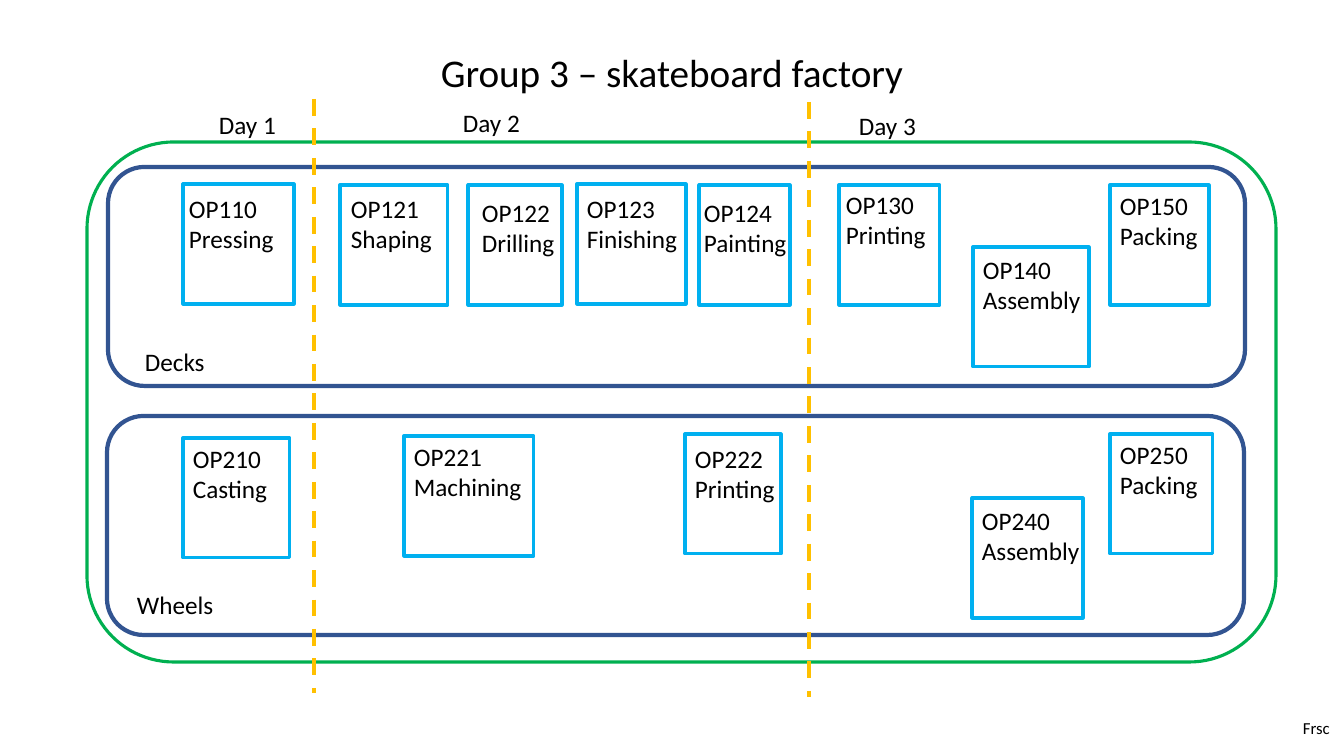
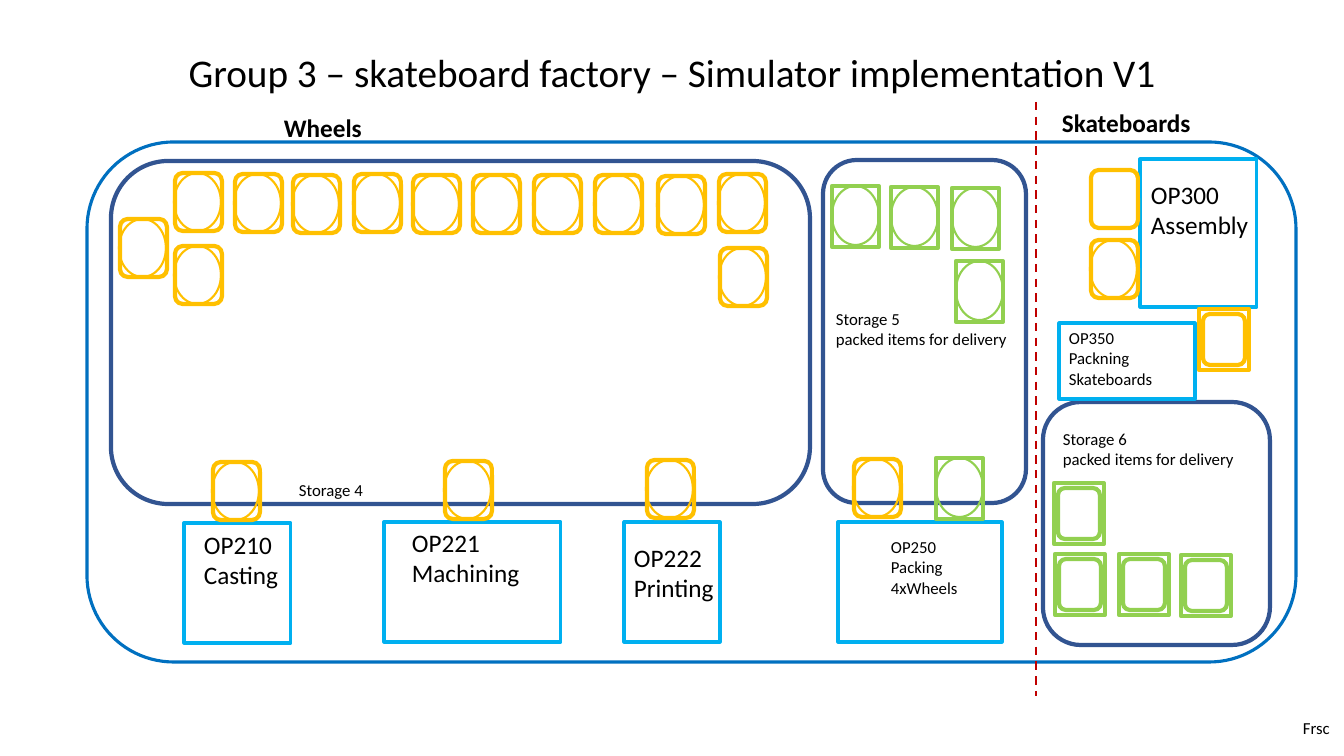
from pptx import Presentation
from pptx.dml.color import RGBColor
from pptx.enum.dml import MSO_LINE
from pptx.enum.shapes import MSO_CONNECTOR, MSO_SHAPE
from pptx.enum.text import MSO_ANCHOR, PP_ALIGN
from pptx.oxml.ns import qn
from pptx.util import Pt

RECT = MSO_SHAPE.RECTANGLE
ROUND = MSO_SHAPE.ROUNDED_RECTANGLE
OVAL = MSO_SHAPE.OVAL
LINE = MSO_CONNECTOR.STRAIGHT
DASH = MSO_LINE.DASH
LEFT, CENTER = PP_ALIGN.LEFT, PP_ALIGN.CENTER
TOP, BOTTOM = MSO_ANCHOR.TOP, MSO_ANCHOR.BOTTOM

WIDE, HIGH = 1344, 756
SCALE = 12192000 / WIDE
FONT = "Calibri"
BLACK, NAVY, SKY, BLUE = "000000", "325491", "00B0F0", "0070C0"
GREEN, LIME, GOLD, RED = "00B050", "92D050", "FFC000", "C00000"
hue = RGBColor.from_string


def write(slide, text, x, y, w, h=None, size=18, bold=False,
          align=LEFT, anchor=TOP, space=1.0):
    lines = text.split("\n")
    h = h or round(10 + 1.7 * size * len(lines))
    box = slide.shapes.add_textbox(*[round(n * SCALE) for n in (x, y, w, h)])
    frame = box.text_frame
    frame.word_wrap = True
    frame.vertical_anchor = anchor
    frame.text = text
    for par in frame.paragraphs:
        par.alignment = align
        par.line_spacing = space
        font = par.runs[0].font
        font.name, font.size, font.bold = FONT, Pt(size), bold
        font.color.rgb = hue(BLACK)


def draw(shapes, kind, x, y, w, h, color, width):
    shape = shapes.add_shape(kind, *[round(n * SCALE) for n in (x, y, w, h)])
    shape.shadow.inherit = False
    shape.fill.background()
    shape.line.color.rgb = hue(color)
    shape.line.width = Pt(width)


deck = Presentation()
deck.slide_width, deck.slide_height = round(WIDE * SCALE), round(HIGH * SCALE)

pages = []
for title in (
    "Group 3 – skateboard factory",
    "Group 3 – skateboard factory – Simulator implementation V1",
):
    slide = deck.slides.add_slide(deck.slide_layouts[6])
    write(slide, title, 168, 49, 1008, 52, size=28,
          align=CENTER, anchor=BOTTOM, space=0.9)
    write(slide, "Frsc", 1293, 713, 51, size=12)
    pages.append(slide)
plan, model = pages

for slide, x, y, w, h, color, width in (
    (plan, 87, 142, 1189, 520, GREEN, 2.25),
    (plan, 108, 167, 1137, 219, NAVY, 3),
    (plan, 107, 416, 1137, 219, NAVY, 3),
    (model, 87, 142, 1209, 520, BLUE, 2.25),
    (model, 111, 161, 699, 343, NAVY, 3),
    (model, 823, 160, 203, 343, NAVY, 3),
    (model, 1043, 402, 227, 243, NAVY, 3),
):
    draw(slide.shapes, ROUND, x, y, w, h, color, width)

for slide, text, box, spot, size in (
    (plan, "OP110\nPressing", (183, 184, 111, 120), (179, 188, 111), 18),
    (plan, "OP121\nShaping", (340, 185, 108, 120), (341, 188, 119), 18),
    (plan, "OP122\nDrilling", (468, 185, 94, 120), (472, 192, 115), 18),
    (plan, "OP123\nFinishing", (577, 184, 109, 120), (577, 188, 115), 18),
    (plan, "OP124\nPainting", (699, 185, 91, 120), (694, 192, 119), 18),
    (plan, "OP130\nPrinting", (839, 185, 101, 120), (836, 184, 116), 18),
    (plan, "OP140\nAssembly", (973, 247, 116, 120), (973, 249, 133), 18),
    (plan, "OP150\nPacking", (1110, 185, 99, 120), (1110, 185, 101), 18),
    (plan, "OP210\nCasting", (183, 438, 107, 120), (183, 438, 107), 18),
    (plan, "OP221\nMachining", (404, 436, 130, 120), (404, 436, 130), 18),
    (plan, "OP222\nPrinting", (685, 434, 96, 120), (685, 438, 120), 18),
    (plan, "OP240\nAssembly", (972, 498, 111, 120), (972, 500, 131), 18),
    (plan, "OP250\nPacking", (1110, 434, 103, 120), (1110, 434, 103), 18),
    (model, "OP210\nCasting", (184, 523, 107, 120), (194, 524, 107), 18),
    (model, "OP221\nMachining", (384, 522, 177, 120), (402, 522, 130), 18),
    (model, "OP222\nPrinting", (624, 522, 96, 120), (624, 537, 120), 18),
    (model, "OP250\nPacking\n4xWheels", (838, 522, 164, 120), (881, 532, 89), 12),
    (model, "OP300\nAssembly", (1140, 159, 117, 148), (1141, 174, 120), 18),
    (model, "OP350\nPackning\nSkateboards", (1059, 323, 136, 76), (1059, 323, 148), 12),
):
    draw(slide.shapes, RECT, *box, SKY, 2.25)
    write(slide, text, *spot, size=size)

for slide, text, x, y, w, size, bold in (
    (plan, "Day 1", 209, 104, 82, 18, False),
    (plan, "Day 2", 453, 102, 82, 18, False),
    (plan, "Day 3", 849, 105, 82, 18, False),
    (plan, "Decks", 135, 341, 82, 18, False),
    (plan, "Wheels", 127, 584, 101, 18, False),
    (model, "Wheels", 274, 107, 101, 18, True),
    (model, "Skateboards", 1052, 102, 180, 18, True),
    (model, "Storage 4", 289, 475, 132, 12, False),
    (model, "Storage 5\npacked items for delivery", 826, 304, 204, 12, False),
    (model, "Storage 6\npacked items for delivery", 1053, 424, 204, 12, False),
):
    write(slide, text, x, y, w, size=size, bold=bold)

wheel = (ROUND, 47, 58), (OVAL, -1, 0, 47, 58, 1.5)
pack = (RECT, 47, 61), (OVAL, 0, 0, 47, 59, 1.5)
board = (RECT, 50, 61), (ROUND, 4, 5, 42, 51, 3)
for (outer, inner), color, spots in (
    (wheel, GOLD, (
        (175, 173), (235, 174), (293, 175), (354, 174), (413, 175), (473, 175),
        (534, 175), (595, 175), (658, 176), (719, 174), (120, 219), (175, 246),
        (720, 248), (213, 462), (445, 461), (647, 460), (854, 459), (1091, 240),
    )),
    (pack, LIME, ((832, 186), (891, 187), (952, 188), (956, 261), (936, 458))),
    (board, GOLD, ((1199, 309),)),
    (board, LIME, ((1054, 483), (1055, 554), (1119, 554), (1181, 555))),
):
    kind, w, h = outer
    core, dx, dy, wide, high, width = inner
    for x, y in spots:
        group = model.shapes.add_group_shape().shapes
        draw(group, kind, x, y, w, h, color, 3)
        draw(group, core, x + dx, y + dy, wide, high, color, width)
draw(model.shapes, ROUND, 1091, 170, 47, 58, GOLD, 3)

for slide, x, top, end, color, width in (
    (plan, 314, 99, 693, GOLD, 3),
    (plan, 809, 102, 697, GOLD, 3),
    (model, 1036, 102, 696, RED, 1.5),
):
    line = slide.shapes.add_connector(
        LINE, *[round(n * SCALE) for n in (x, top, x, end)])
    line.line.color.rgb = hue(color)
    line.line.width = Pt(width)
    line.line.dash_style = DASH
    props = line._element.spPr
    props.append(props.makeelement(qn("a:effectLst"), {}))

deck.save("out.pptx")
